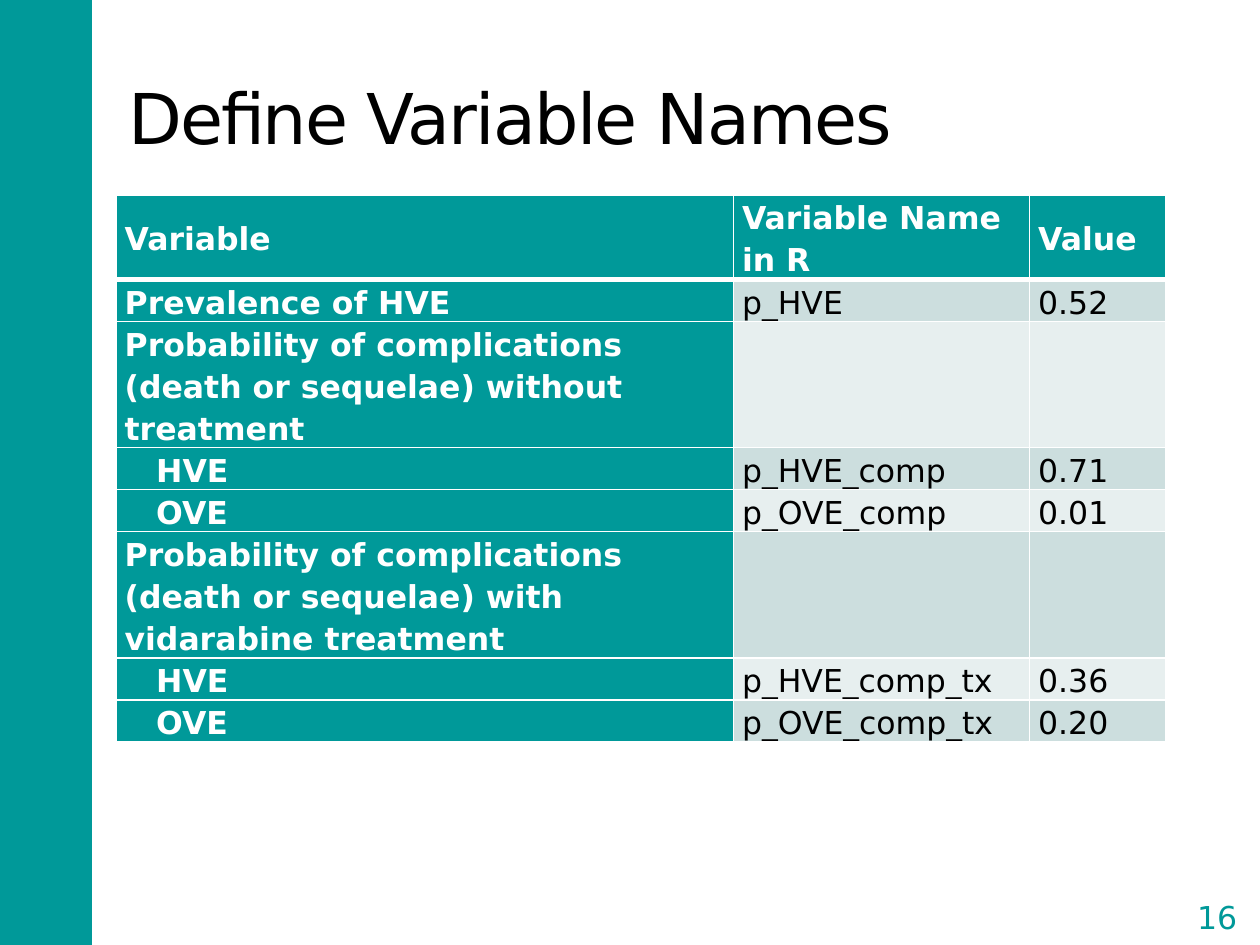
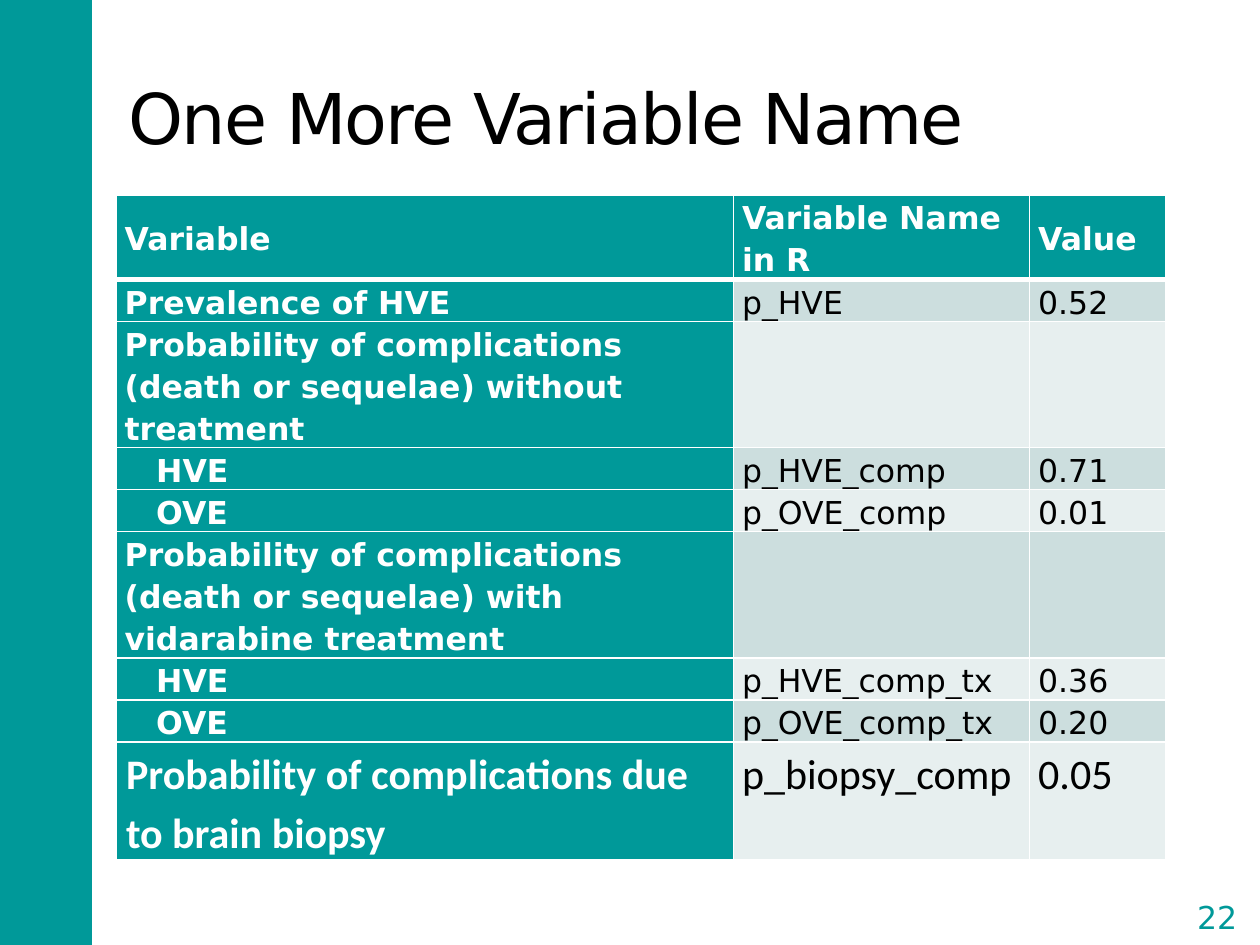
from lxml import etree
from pptx import Presentation
from pptx.dml.color import RGBColor
from pptx.enum.shapes import MSO_SHAPE
from pptx.enum.text import MSO_ANCHOR, PP_ALIGN
from pptx.oxml.ns import qn
from pptx.util import Inches, Pt

RECTANGLE, BRACKETS = MSO_SHAPE.RECTANGLE, MSO_SHAPE.DOUBLE_BRACKET
MIDDLE, TOP = MSO_ANCHOR.MIDDLE, MSO_ANCHOR.TOP
LEFT, CENTER = PP_ALIGN.LEFT, PP_ALIGN.CENTER

COLORS = {"teal": "009999", "white": "FFFFFF", "black": "000000",
          "band_dark": "CCDEDE", "band_light": "E7EFEF"}
FONT = "DejaVu Sans"
BODY_STYLE = (FONT, 18)
BIOPSY_STYLE = ("Calibri", 24)

BAND_BOX = (-0.02, 0, 0.75, 7.5)
TITLE_BOX = (0.92, 0.3, 8.33, 1.25)
NUMBER_BOX = (9.36, 7.06, 0.6, 0.43)
TABLE_ORIGIN = (0.92, 1.55)
COLUMN_WIDTHS = (4.9, 2.35, 1.08)
LINE_HEIGHT = 0.33
CELL_INSET = 0.07
SUB_INDENT = 0.25

HEADER = ("Variable", "Variable Name in R", "Value")
# Each row: label, name in R, value, lines of text, extra indent, (font, size)
VARIABLES = [
    ("Prevalence of HVE", "p_HVE", "0.52", 1, 0, BODY_STYLE),
    ("Probability of complications (death or sequelae) without treatment",
     "", "", 3, 0, BODY_STYLE),
    ("HVE", "p_HVE_comp", "0.71", 1, SUB_INDENT, BODY_STYLE),
    ("OVE", "p_OVE_comp", "0.01", 1, SUB_INDENT, BODY_STYLE),
    ("Probability of complications (death or sequelae) with vidarabine treatment",
     "", "", 3, 0, BODY_STYLE),
    ("HVE", "p_HVE_comp_tx", "0.36", 1, SUB_INDENT, BODY_STYLE),
    ("OVE", "p_OVE_comp_tx", "0.20", 1, SUB_INDENT, BODY_STYLE),
]
BIOPSY = ("Probability of complications due to brain biopsy",
          "p_biopsy_comp", "0.05", 2, 0.01, BIOPSY_STYLE)


def color(name):
    return RGBColor.from_string(COLORS[name])


def inches(box):
    return [Inches(length) for length in box]


def style_text(para, size, color_name, font=FONT, bold=False):
    for span in para.runs:
        span.font.name = font
        span.font.size = Pt(size)
        span.font.bold = bold
        span.font.color.rgb = color(color_name)


def add_band(page, layout, box):
    """Draw the side band and move it to the layout that all pages share."""
    band = page.shapes.add_shape(RECTANGLE, *inches(box))
    band.shadow.inherit = False
    band.fill.solid()
    band.fill.fore_color.rgb = color("teal")
    band.line.fill.background()
    layout.shapes[0].element.addprevious(band.element)


def add_title(page, box, text):
    title = page.shapes.title
    title.left, title.top, title.width, title.height = inches(box)
    title.text_frame.text = text
    title.text_frame.vertical_anchor = MIDDLE
    para = title.text_frame.paragraphs[0]
    para.alignment = LEFT
    style_text(para, 40, "black")
    para.runs[0].font._element.set("spc", "-100")


def add_page_number(page, box, number):
    badge = page.shapes.add_shape(BRACKETS, *inches(box))
    badge.adjustments[0] = 0.18
    badge.shadow.inherit = False
    badge.fill.background()
    badge.line.color.rgb = color("white")
    badge.line.width = Pt(1.5)
    frame = badge.text_frame
    frame.margin_left = frame.margin_right = 0
    frame.margin_top = frame.margin_bottom = 0
    frame.vertical_anchor = MIDDLE
    frame.text = str(number)
    frame.paragraphs[0].alignment = CENTER
    style_text(frame.paragraphs[0], 18, "teal")


def add_borders(cell, top, bottom):
    """White borders; top and bottom are widths in points."""
    properties = cell._tc.get_or_add_tcPr()
    for side, width in (("L", 1), ("R", 1), ("T", top), ("B", bottom)):
        line = etree.SubElement(properties, qn("a:ln" + side), w=str(Pt(width)))
        fill = etree.SubElement(line, qn("a:solidFill"))
        etree.SubElement(fill, qn("a:srgbClr"), val=COLORS["white"])


def fill_cell(cell, text, fill, text_color, style=BODY_STYLE, bold=False,
              indent=0, anchor=TOP, borders=(1, 1)):
    add_borders(cell, *borders)
    cell.fill.solid()
    cell.fill.fore_color.rgb = color(fill)
    cell.margin_left = Inches(CELL_INSET + indent)
    cell.margin_right = Inches(CELL_INSET)
    cell.margin_top = cell.margin_bottom = 0
    cell.vertical_anchor = anchor
    if text:
        cell.text_frame.text = text
        para = cell.text_frame.paragraphs[0]
        para.line_spacing = 1.15
        font, size = style
        style_text(para, size, text_color, font, bold)


def add_variable_table(page, origin, variables):
    heights = [2 * LINE_HEIGHT]
    heights += [lines * LINE_HEIGHT * style[1] / 18
                for _, _, _, lines, _, style in variables]
    box = (*origin, sum(COLUMN_WIDTHS), sum(heights))
    table = page.shapes.add_table(len(heights), len(COLUMN_WIDTHS), *inches(box)).table
    for column, width in zip(table.columns, COLUMN_WIDTHS):
        column.width = Inches(width)
    for row, height in zip(table.rows, heights):
        row.height = Inches(height)

    for column, text in enumerate(HEADER):
        fill_cell(table.cell(0, column), text, "teal", "white", bold=True,
                  anchor=MIDDLE, borders=(1, 3))
    for row, (label, name, value, _, indent, style) in enumerate(variables, 1):
        borders = (3 if row == 1 else 1, 1)
        band = "band_dark" if row % 2 else "band_light"
        fill_cell(table.cell(row, 0), label, "teal", "white", style, bold=True,
                  indent=indent, borders=borders)
        for column, text in enumerate((name, value), 1):
            fill_cell(table.cell(row, column), text, band, "black", style,
                      borders=borders)


def add_variable_page(deck, layout, title, number, variables):
    page = deck.slides.add_slide(layout)
    add_title(page, TITLE_BOX, title)
    add_page_number(page, NUMBER_BOX, number)
    add_variable_table(page, TABLE_ORIGIN, variables)
    return page


def main():
    deck = Presentation()
    deck.slide_width, deck.slide_height = Inches(10), Inches(7.5)
    layout = deck.slide_layouts[5]
    first = add_variable_page(deck, layout, "Define Variable Names", 16, VARIABLES)
    add_band(first, layout, BAND_BOX)
    add_variable_page(deck, layout, "One More Variable Name", 22,
                      VARIABLES + [BIOPSY])
    deck.save("out.pptx")


if __name__ == "__main__":
    main()
